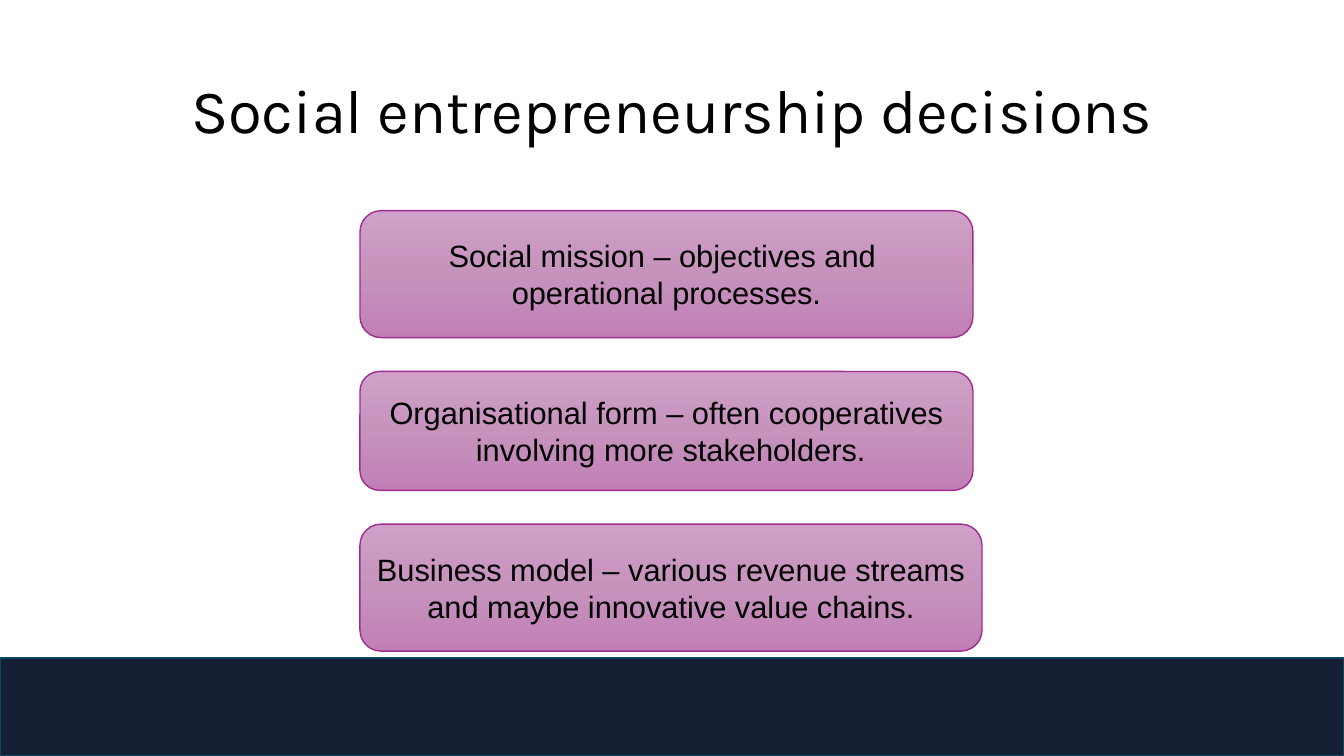
from copy import deepcopy

from pptx import Presentation
from pptx.dml.color import RGBColor
from pptx.enum.shapes import MSO_SHAPE
from pptx.enum.text import MSO_ANCHOR, PP_ALIGN
from pptx.util import Inches, Pt

COLORS = {
    "text": "000000",
    "band": "141F34",
    "band_edge": "104760",
    "card_top": "D0A0C8",
    "card_middle": "C693BD",
    "card_bottom": "C17FB6",
    "card_edge": "A02B93",
}
FONTS = {
    "heading": {"name": "Karla", "size": Pt(44)},
    "decision": {"name": "Arial", "size": Pt(22)},
}


def color(key):
    return RGBColor.from_string(COLORS[key])


def write(frame, lines, style):
    frame.vertical_anchor = MSO_ANCHOR.MIDDLE
    for index, line in enumerate(lines):
        paragraph = frame.paragraphs[0] if index == 0 else frame.add_paragraph()
        paragraph.alignment = PP_ALIGN.CENTER
        run = paragraph.add_run()
        run.text = line
        for attribute, value in FONTS[style].items():
            setattr(run.font, attribute, value)
        run.font.color.rgb = color("text")


presentation = Presentation()
presentation.slide_width = Inches(13.33)
presentation.slide_height = Inches(7.5)
slide = presentation.slides.add_slide(presentation.slide_layouts[5])

# Heading
heading = slide.shapes.title
heading_box = {"left": 0.92, "top": 0.4, "width": 11.5, "height": 1.45}
for attribute, value in heading_box.items():
    setattr(heading, attribute, Inches(value))
write(heading.text_frame, ["Social entrepreneurship decisions"], "heading")
heading.text_frame.paragraphs[0].line_spacing = 0.9

# Footer band, from its top edge to the bottom of the slide
band_top = Inches(6.53)
band = slide.shapes.add_shape(
    MSO_SHAPE.RECTANGLE, 0, band_top,
    presentation.slide_width, presentation.slide_height - band_top,
)
band.shadow.inherit = False
band.fill.solid()
band.fill.fore_color.rgb = color("band")
band.line.color.rgb = color("band_edge")
band.line.width = Pt(1.5)

# Decision cards, stacked with an equal gap: width, height, lines
decisions = [
    (6.08, 1.26, ["Social mission – objectives and ", "operational processes."]),
    (6.08, 1.18, ["Organisational form – often cooperatives",
                  " involving more stakeholders."]),
    (6.17, 1.26, ["Business model – various revenue streams",
                  "and maybe innovative value chains."]),
]
card_left, card_top, card_gap = 3.57, 2.09, 0.335

for width, height, lines in decisions:
    card = slide.shapes.add_shape(
        MSO_SHAPE.ROUNDED_RECTANGLE, Inches(card_left), Inches(card_top),
        Inches(width), Inches(height),
    )
    card.shadow.inherit = False
    card.line.color.rgb = color("card_edge")
    card.line.width = Pt(1)

    # Gradient from top to bottom, with a third stop halfway
    card.fill.gradient()
    card.fill.gradient_angle = 270
    first_stop = card._element.spPr.find(".//{*}gs")
    first_stop.addnext(deepcopy(first_stop))
    shades = ["card_top", "card_middle", "card_bottom"]
    for index, (stop, shade) in enumerate(zip(card.fill.gradient_stops, shades)):
        stop.position = index / 2
        stop.color.rgb = color(shade)

    card.text_frame.word_wrap = False
    write(card.text_frame, lines, "decision")
    card_top += height + card_gap

presentation.save("out.pptx")
